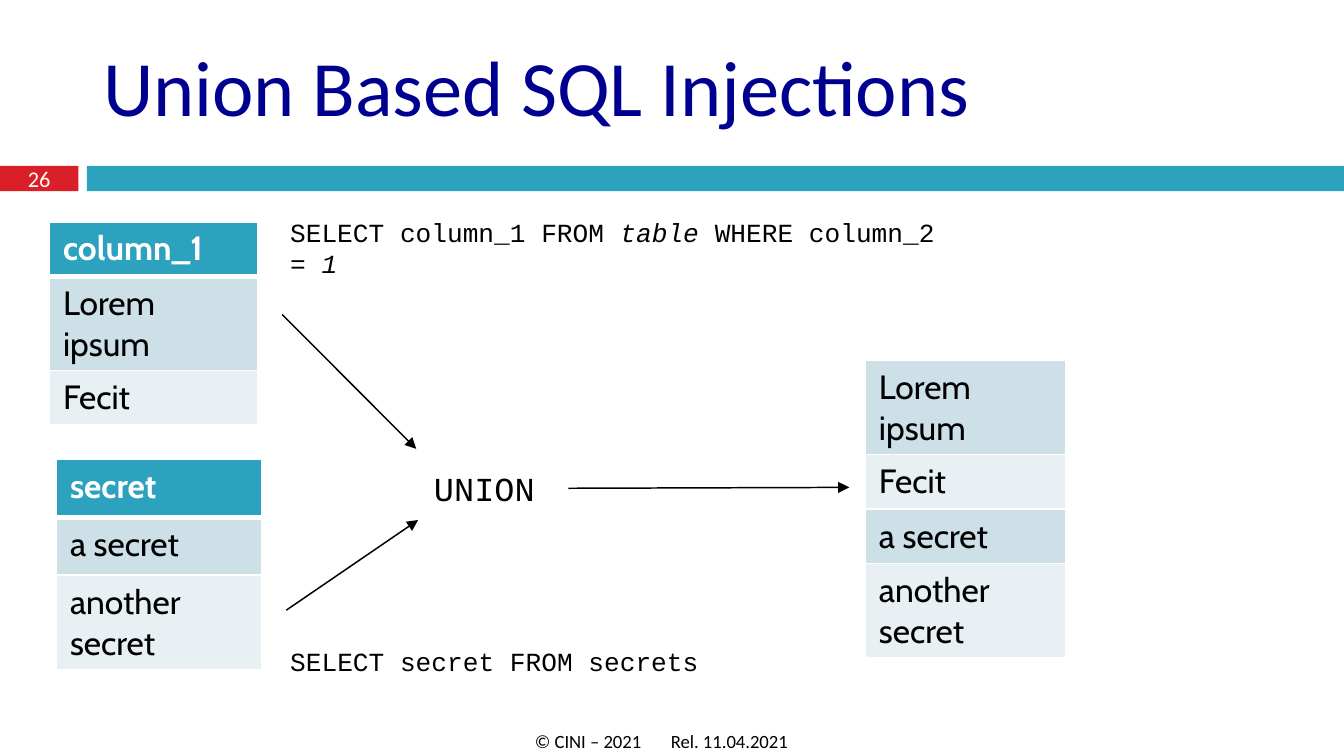
from dataclasses import dataclass

from lxml import etree
from pptx import Presentation
from pptx.dml.color import RGBColor
from pptx.enum.shapes import MSO_CONNECTOR, MSO_SHAPE
from pptx.enum.text import MSO_ANCHOR, PP_ALIGN
from pptx.oxml.ns import qn
from pptx.util import Pt

LINE = MSO_CONNECTOR.STRAIGHT
RECT = MSO_SHAPE.RECTANGLE
MIDDLE = MSO_ANCHOR.MIDDLE
LEFT, CENTER, RIGHT = PP_ALIGN.LEFT, PP_ALIGN.CENTER, PP_ALIGN.RIGHT


@dataclass(frozen=True)
class Theme:
    teal: str = "2DA2BF"
    red: str = "DA1F28"
    navy: str = "000090"
    black: str = "000000"
    white: str = "FFFFFF"
    bands: tuple = ("CDE0E8", "E8F0F4")
    sans: str = "Calibri"
    code: str = "Courier New"
    grid: str = "Cabin"
    head: int = 42
    body: int = 18
    query: int = 14
    page: int = 12
    foot: int = 10


THEME = Theme()


def style(run, face, size, color=THEME.black, bold=False, italic=False):
    font = run.font
    font.name, font.size = face, Pt(size)
    font.bold, font.italic = bold, italic
    font.color.rgb = RGBColor.from_string(color)


def add_title(slide, text):
    title = slide.shapes.title
    title.left, title.top = Pt(48), Pt(9.4)
    title.width, title.height = Pt(642), Pt(79)
    frame = title.text_frame
    frame.text = text
    frame.vertical_anchor = MIDDLE
    para = frame.paragraphs[0]
    para.alignment, para.line_spacing = LEFT, 0.9
    style(para.runs[0], THEME.sans, THEME.head, THEME.navy)


def add_bar(slide, left, width, color):
    bar = slide.shapes.add_shape(RECT, Pt(left), Pt(88.9), Pt(width), Pt(13.6))
    bar.shadow.inherit = False
    bar.fill.solid()
    bar.fill.fore_color.rgb = RGBColor.from_string(color)
    bar.line.fill.background()


def add_text(slide, box, parts, face, size, color=THEME.black,
             align=LEFT, wrap=True, anchor=None):
    """Add one paragraph of (text, italic) parts."""
    shape = slide.shapes.add_textbox(*map(Pt, box))
    frame = shape.text_frame
    frame.word_wrap = wrap
    if anchor is not None:
        frame.vertical_anchor = anchor
    para = frame.paragraphs[0]
    para.alignment = align
    for text, italic in parts:
        run = para.add_run()
        run.text = text
        style(run, face, size, color, italic=italic)


def add_edges(cell, base):
    props = cell._tc.get_or_add_tcPr()
    for side, width in (("L", 1), ("R", 1), ("T", 1), ("B", base)):
        edge = etree.SubElement(props, qn(f"a:ln{side}"), w=str(Pt(width)))
        fill = etree.SubElement(edge, qn("a:solidFill"))
        etree.SubElement(fill, qn("a:srgbClr"), val=THEME.white)


def add_grid(slide, left, top, width, step, rows, header=None):
    """Add a one-column table with banded rows."""
    texts = ([header] if header else []) + rows
    count = len(texts)
    table = slide.shapes.add_table(count, 1, Pt(left), Pt(top), Pt(width),
                                   Pt(step * count)).table
    table.first_row = header is not None
    start = 1 if header else 0
    for i, text in enumerate(texts):
        cell = table.cell(i, 0)
        top_row = i < start
        # Edges go in before the fill; the header and next row share one
        add_edges(cell, 3 if top_row else 1)
        if header and i == 1:
            cell._tc.tcPr.find(qn("a:lnT")).set("w", str(Pt(3)))
        back = THEME.teal if top_row else THEME.bands[(i - start) % 2]
        cell.fill.solid()
        cell.fill.fore_color.rgb = RGBColor.from_string(back)
        cell.text_frame.text = text
        style(cell.text_frame.paragraphs[0].runs[0], THEME.grid, THEME.body,
              THEME.white if top_row else THEME.black, bold=top_row)


def add_arrow(slide, *ends):
    arrow = slide.shapes.add_connector(LINE, *map(Pt, ends))
    arrow.line.width = Pt(0.79)
    arrow.line.color.rgb = RGBColor.from_string(THEME.black)
    etree.SubElement(arrow.line._get_or_add_ln(), qn("a:tailEnd"),
                     type="triangle")
    etree.SubElement(arrow._element.spPr, qn("a:effectLst"))


def main():
    deck = Presentation()
    deck.slide_width, deck.slide_height = Pt(720), Pt(405)
    slide = deck.slides.add_slide(deck.slide_layouts[5])

    # Heading band and page number
    add_bar(slide, 0, 42, THEME.red)
    add_bar(slide, 46.6, 673.4, THEME.teal)
    add_title(slide, "Union Based SQL Injections")
    add_text(slide, (0, 88.6, 42, 14.4), [("26", False)], THEME.sans,
             THEME.page, THEME.white, CENTER, anchor=MIDDLE)

    # Queries
    for box, parts, size in (
        ((148.4, 112.3, 363, 41),
         [("SELECT column_1 FROM ", False), ("table ", True),
          ("WHERE column_2 = ", False), ("1", True)], THEME.query),
        ((225.4, 247, 70.6, 29), [("UNION", False)], THEME.body),
        ((148.4, 342, 311, 29), [("SELECT secret FROM secrets", False)],
         THEME.query),
    ):
        add_text(slide, box, parts, THEME.code, size)

    # Two sources and their union
    first = ["Lorem ipsum", "Fecit"]
    second = ["a secret", "another secret"]
    add_grid(slide, 26.6, 118.8, 111.6, 29.2, first, "column_1")
    add_grid(slide, 30.3, 246.2, 110, 31, second, "secret")
    add_grid(slide, 463.7, 193, 107.3, 29.2, first + second)

    # Flow
    add_arrow(slide, 151.2, 168.5, 223, 240.5)
    add_arrow(slide, 153.4, 326.9, 224, 278.6)
    add_arrow(slide, 304.5, 261.6, 455, 261.1)

    # Footer
    for left, width, text in ((277.9, 72.7, "© CINI – 2021"),
                              (350.6, 78.5, "Rel. 11.04.2021")):
        add_text(slide, (left, 387.4, width, 19.4), [(text, False)],
                 THEME.sans, THEME.foot, align=RIGHT, wrap=False)

    deck.save("out.pptx")


if __name__ == "__main__":
    main()
